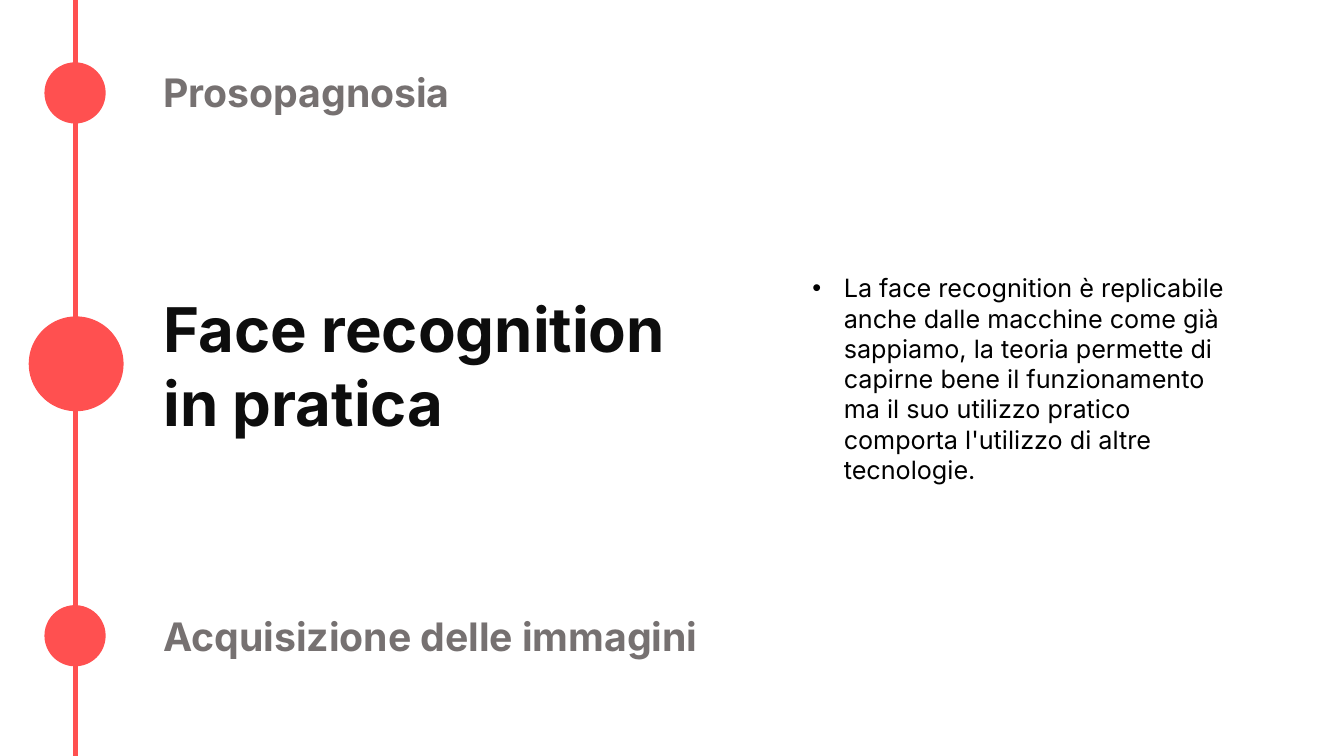
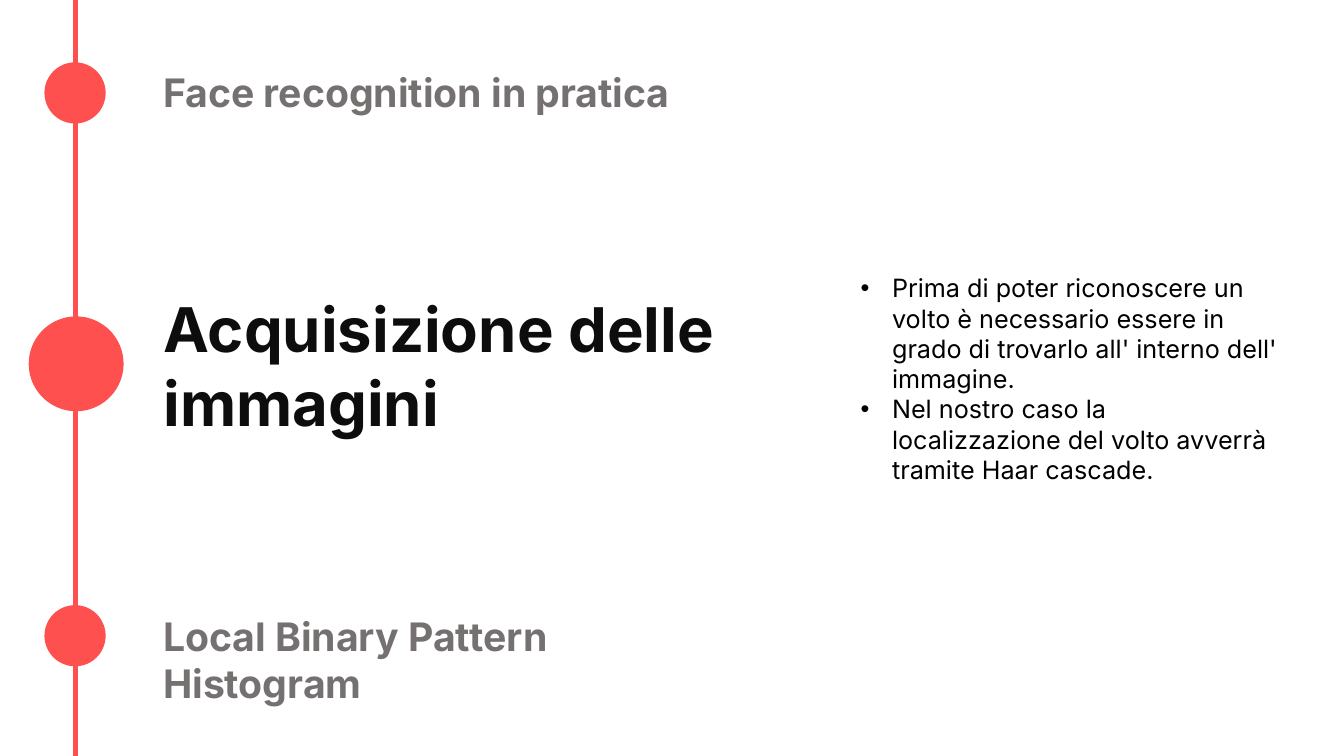
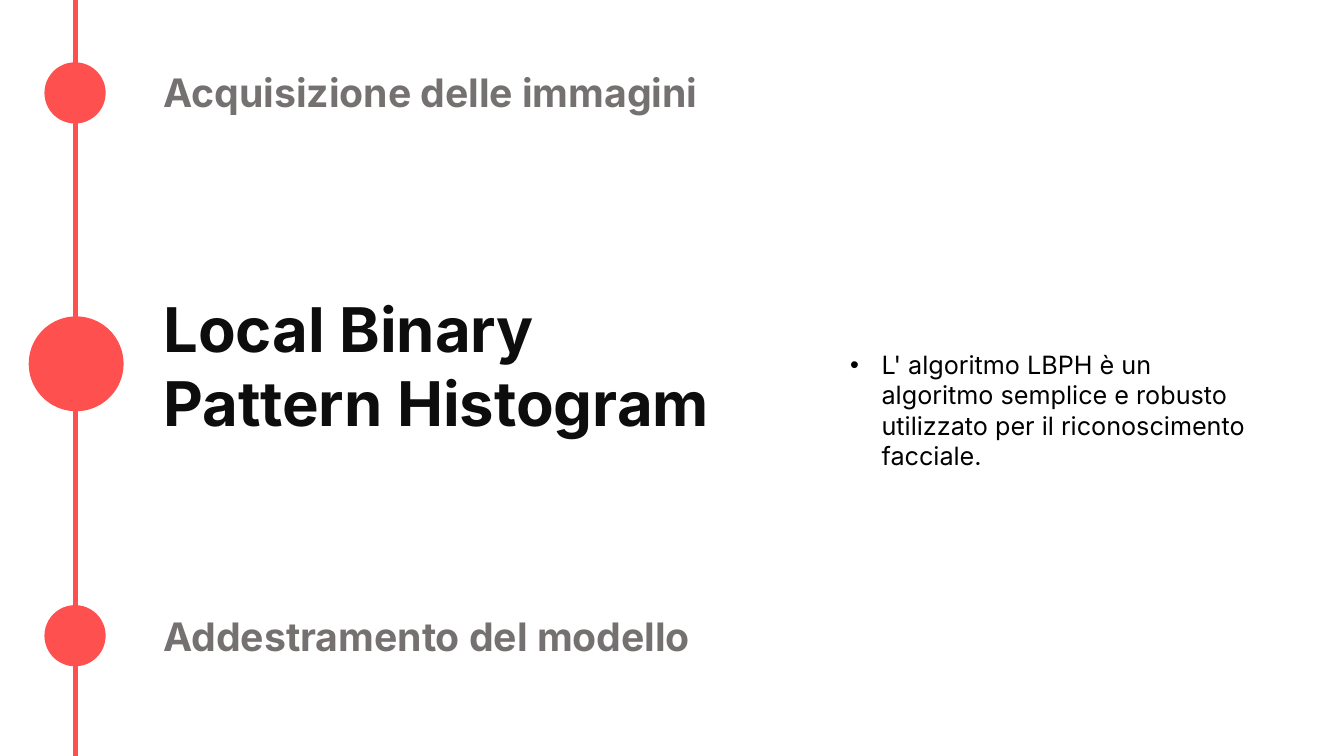
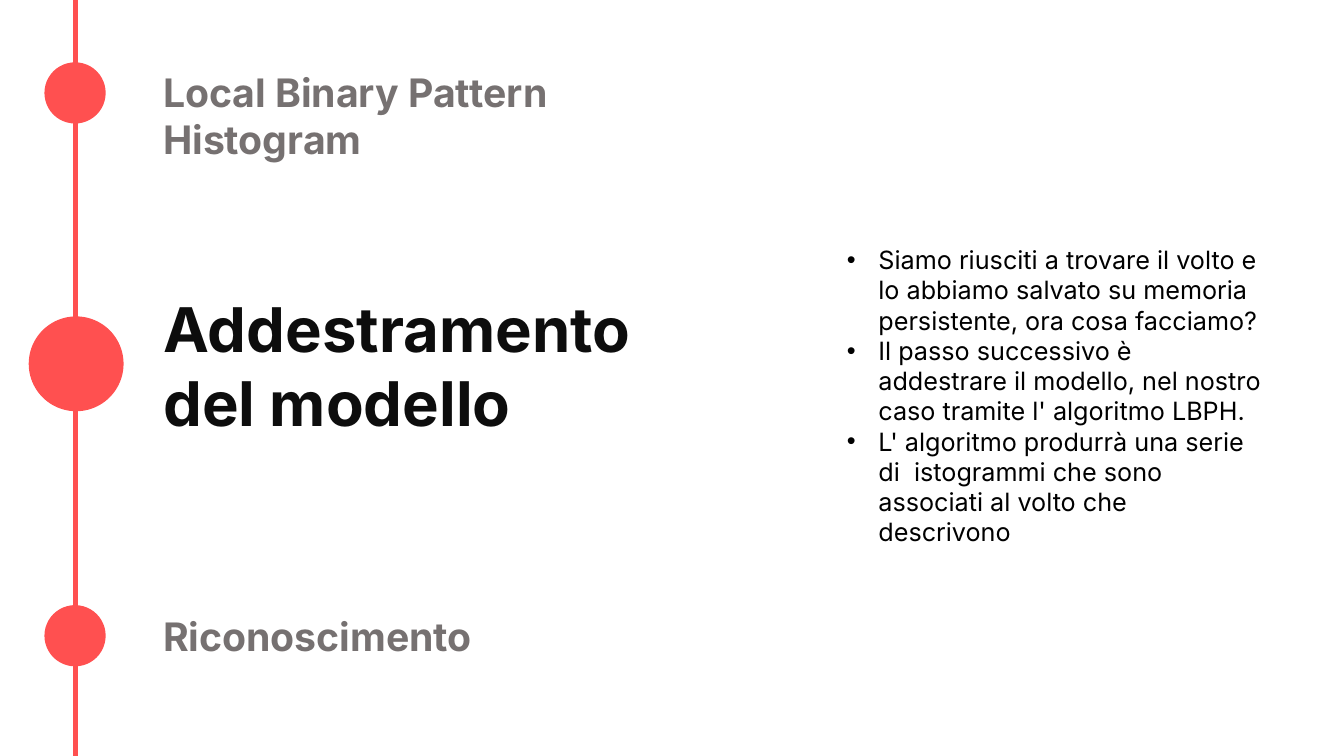
from dataclasses import dataclass
from typing import NamedTuple

import pptx
import pptx.dml.color
import pptx.enum.shapes
import pptx.enum.text
import pptx.oxml
import pptx.oxml.ns
import pptx.util

PX = 9525
SLIDE_W, SLIDE_H = 1280, 720
FONT = "Inter"
RED, GREY, INK, BLACK = "FF5050", "767171", "0D0D0D", "000000"
AXIS_X = 72
BULLET_INDENT = 30
TEXT_LEFT, TEXT_W = 146, 548
TITLE_TOP, TITLE_H = 272, 152
PREVIOUS_TOP, NEXT_TOP = 60, 578
BODY_W = 418


class Dot(NamedTuple):
    left: int
    top: int
    size: int


class Style(NamedTuple):
    size: int
    color: str
    bold: bool


class Box(NamedTuple):
    left: int
    top: int
    width: int
    height: int


@dataclass
class Topic:
    name: str
    lines: int = 1


@dataclass
class Body:
    left: int
    top: int
    lines: int
    items: list[str]


DOTS = [Dot(28, 302, 89), Dot(43, 577, 57), Dot(43, 60, 57)]
TITLE = Style(44, INK, True)
NEIGHBOUR = Style(28, GREY, True)
BODY = Style(18, BLACK, False)

TOPICS = [
    Topic("Prosopagnosia"),
    Topic("Face recognition in pratica"),
    Topic("Acquisizione delle immagini"),
    Topic("Local Binary Pattern Histogram", lines=2),
    Topic("Addestramento del modello"),
    Topic("Riconoscimento"),
]

BODIES = [
    Body(764, 255, 7, [
        "La face recognition è replicabile anche dalle macchine come già sappiamo, "
        "la teoria permette di capirne bene il funzionamento ma il suo utilizzo "
        "pratico comporta l'utilizzo di altre tecnologie.",
    ]),
    Body(810, 255, 7, [
        "Prima di poter riconoscere un volto è necessario essere in grado di "
        "trovarlo all' interno dell' immagine.",
        "Nel nostro caso la localizzazione del volto avverrà tramite Haar cascade.",
    ]),
    Body(800, 328, 4, [
        "L' algoritmo LBPH è un algoritmo semplice e robusto utilizzato per il "
        "riconoscimento facciale.",
    ]),
    Body(797, 228, 10, [
        "Siamo riusciti a trovare il volto e lo abbiamo salvato su memoria "
        "persistente, ora cosa facciamo?",
        "Il passo successivo è addestrare il modello, nel nostro caso tramite "
        "l' algoritmo LBPH.",
        "L' algoritmo produrrà una serie di  istogrammi che sono associati al "
        "volto che descrivono",
    ]),
]


def px(n: int) -> pptx.util.Emu:
    return pptx.util.Emu(n * PX)


def rgb(color: str) -> pptx.dml.color.RGBColor:
    return pptx.dml.color.RGBColor.from_string(color)


def add_bullet(p) -> None:
    pPr = p._p.get_or_add_pPr()
    pPr.set("marL", str(px(BULLET_INDENT)))
    pPr.set("indent", str(-px(BULLET_INDENT)))
    ns = pptx.oxml.ns.nsdecls("a")
    for xml in (f'<a:buFont {ns} typeface="Arial"/>', f'<a:buChar {ns} char="•"/>'):
        pPr.append(pptx.oxml.parse_xml(xml))


def fill_text(sp, box: Box, lines: list[str], style: Style, bullets: bool = False) -> None:
    """Place a text shape and format one paragraph per line."""
    sp.left, sp.top, sp.width, sp.height = map(px, box)
    tf = sp.text_frame
    tf.text = "\n".join(lines)
    tf.word_wrap = True
    tf.auto_size = pptx.enum.text.MSO_AUTO_SIZE.SHAPE_TO_FIT_TEXT
    tf.vertical_anchor = pptx.enum.text.MSO_ANCHOR.TOP
    for p in tf.paragraphs:
        if bullets:
            add_bullet(p)
        p.alignment = pptx.enum.text.PP_ALIGN.LEFT
        p.line_spacing = 1.0
        p.space_before = pptx.util.Pt(0)
        for r in p.runs:
            r.font.name = FONT
            r.font.size = pptx.util.Pt(style.size)
            r.font.bold = style.bold
            r.font.color.rgb = rgb(style.color)


def add_timeline(s) -> None:
    for dot in DOTS:
        sp = s.shapes.add_shape(
            pptx.enum.shapes.MSO_SHAPE.OVAL, *map(px, (dot.left, dot.top, dot.size, dot.size)))
        sp.shadow.inherit = False
        sp.fill.solid()
        sp.fill.fore_color.rgb = rgb(RED)
        sp.line.color.rgb = rgb(RED)
        sp.line.width = pptx.util.Pt(1)
    axis = s.shapes.add_connector(
        pptx.enum.shapes.MSO_CONNECTOR.STRAIGHT, px(AXIS_X), px(0), px(AXIS_X), px(SLIDE_H))
    axis.line.color.rgb = rgb(RED)
    axis.line.width = pptx.util.Pt(3)
    axis._element.spPr.append(
        pptx.oxml.parse_xml(f'<a:effectLst {pptx.oxml.ns.nsdecls("a")}/>'))


def add_neighbour(s, topic: Topic, top: int) -> None:
    box = Box(TEXT_LEFT, top, TEXT_W, 10 + 45 * topic.lines)
    fill_text(s.shapes.add_textbox(*map(px, box)), box, [topic.name], NEIGHBOUR)


def add_topic_slide(prs, previous: Topic, current: Topic, following: Topic, body: Body) -> None:
    s = prs.slides.add_slide(prs.slide_layouts[1])
    fill_text(s.shapes.title, Box(TEXT_LEFT, TITLE_TOP, TEXT_W, TITLE_H), [current.name], TITLE)
    body_box = Box(body.left, body.top, BODY_W, 10 + 29 * body.lines)
    fill_text(s.placeholders[1], body_box, body.items, BODY, bullets=True)
    add_timeline(s)
    add_neighbour(s, previous, PREVIOUS_TOP)
    add_neighbour(s, following, NEXT_TOP)


def main() -> None:
    prs = pptx.Presentation()
    prs.slide_width, prs.slide_height = px(SLIDE_W), px(SLIDE_H)
    for previous, current, following, body in zip(TOPICS, TOPICS[1:], TOPICS[2:], BODIES):
        add_topic_slide(prs, previous, current, following, body)
    prs.save("out.pptx")


if __name__ == "__main__":
    main()
